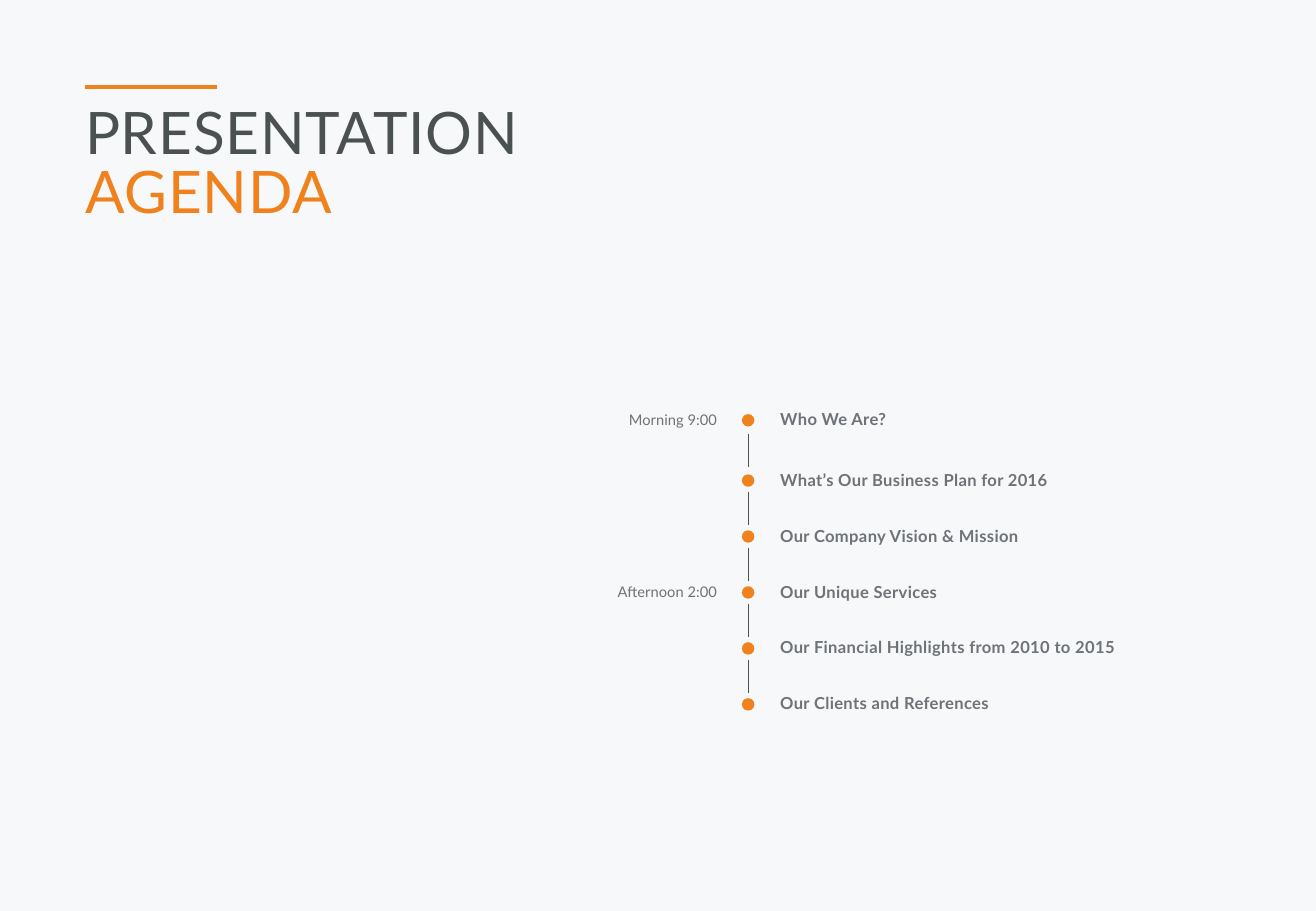
"""Build the presentation agenda slide with its vertical timeline."""
from itertools import pairwise

from lxml import etree
from pptx import Presentation
from pptx.dml.color import RGBColor
from pptx.enum.shapes import MSO_CONNECTOR, MSO_SHAPE
from pptx.enum.text import PP_ALIGN
from pptx.oxml.ns import qn
from pptx.util import Cm, Pt

STRAIGHT = MSO_CONNECTOR.STRAIGHT
OVAL = MSO_SHAPE.OVAL
LEFT, RIGHT = PP_ALIGN.LEFT, PP_ALIGN.RIGHT

COLORS = {
    "background": "F6F8FA",
    "accent": "F0821E",
    "dark": "4B5050",
    "text": "6E7378",
}
FONT = "Lato"

AGENDA = [
    ("Morning 9:00", "Who We Are?"),
    ("", "What’s Our Business Plan for 2016"),
    ("", "Our Company Vision & Mission"),
    ("Afternoon 2:00", "Our Unique Services"),
    ("", "Our Financial Highlights from 2010 to 2015"),
    ("", "Our Clients and References"),
]
MARGIN = 1.78
AXIS = 15.64
FIRST_ROW, SECOND_ROW, ROW_STEP = 8.79, 10.05, 1.17
DOT_SIZE = 0.26
LINK_LENGTH = 0.7


def color(name):
    return RGBColor.from_string(COLORS[name])


def add_text(page, lines, left, top, width, height, *, size, bold=False,
             align=LEFT, spacing=0, line_height=None):
    """Add a text box from (text, colour name) lines."""
    box = page.shapes.add_textbox(Cm(left), Cm(top), Cm(width), Cm(height))
    frame = box.text_frame
    frame.word_wrap = True
    frame.margin_left = frame.margin_right = 0
    frame.margin_top = frame.margin_bottom = 0
    for index, (text, shade) in enumerate(lines):
        para = frame.add_paragraph() if index else frame.paragraphs[0]
        para.alignment = align
        if line_height:
            para.line_spacing = Pt(line_height)
        span = para.add_run()
        span.text = text
        span.font.name = FONT
        span.font.size = Pt(size)
        span.font.bold = bold
        span.font.color.rgb = color(shade)
        if spacing:
            span.font._element.set("spc", str(spacing))


def add_line(page, start, end, shade, weight):
    line = page.shapes.add_connector(STRAIGHT, *map(Cm, start + end))
    line.line.color.rgb = color(shade)
    line.line.width = Pt(weight)
    etree.SubElement(line._element.spPr, qn("a:effectLst"))


def add_dot(page, center):
    dot = page.shapes.add_shape(OVAL, Cm(AXIS - DOT_SIZE / 2),
                                Cm(center - DOT_SIZE / 2),
                                Cm(DOT_SIZE), Cm(DOT_SIZE))
    dot.shadow.inherit = False
    dot.fill.solid()
    dot.fill.fore_color.rgb = color("accent")
    dot.line.fill.background()


def add_title(page):
    add_line(page, (MARGIN, 1.82), (4.54, 1.82), "accent", 2.25)
    add_text(page, [("PRESENTATION", "dark"), ("AGENDA", "accent")],
             MARGIN, 2.26, 23.95, 2.49, size=34.7, spacing=50,
             line_height=34.7)


def add_timeline(page):
    centers = [FIRST_ROW] + [SECOND_ROW + ROW_STEP * row
                             for row in range(len(AGENDA) - 1)]
    for upper, lower in pairwise(centers):
        start = (upper + lower - LINK_LENGTH) / 2
        add_line(page, (AXIS, start), (AXIS, start + LINK_LENGTH),
                 "dark", 0.75)
    for center, (time, topic) in zip(centers, AGENDA):
        add_dot(page, center)
        add_text(page, [(topic, "text")], 16.31, center - 0.23, 9.42, 0.41,
                 size=9.8, bold=True, spacing=20)
        if time:
            add_text(page, [(time, "text")], 12.14, center - 0.2, 2.85, 0.38,
                     size=8.7, align=RIGHT)


def main():
    deck = Presentation()
    deck.slide_width, deck.slide_height = Cm(27.51), Cm(19.05)
    page = deck.slides.add_slide(deck.slide_layouts[6])
    page.background.fill.solid()
    page.background.fill.fore_color.rgb = color("background")
    add_title(page)
    add_timeline(page)
    deck.save("out.pptx")


if __name__ == "__main__":
    main()
